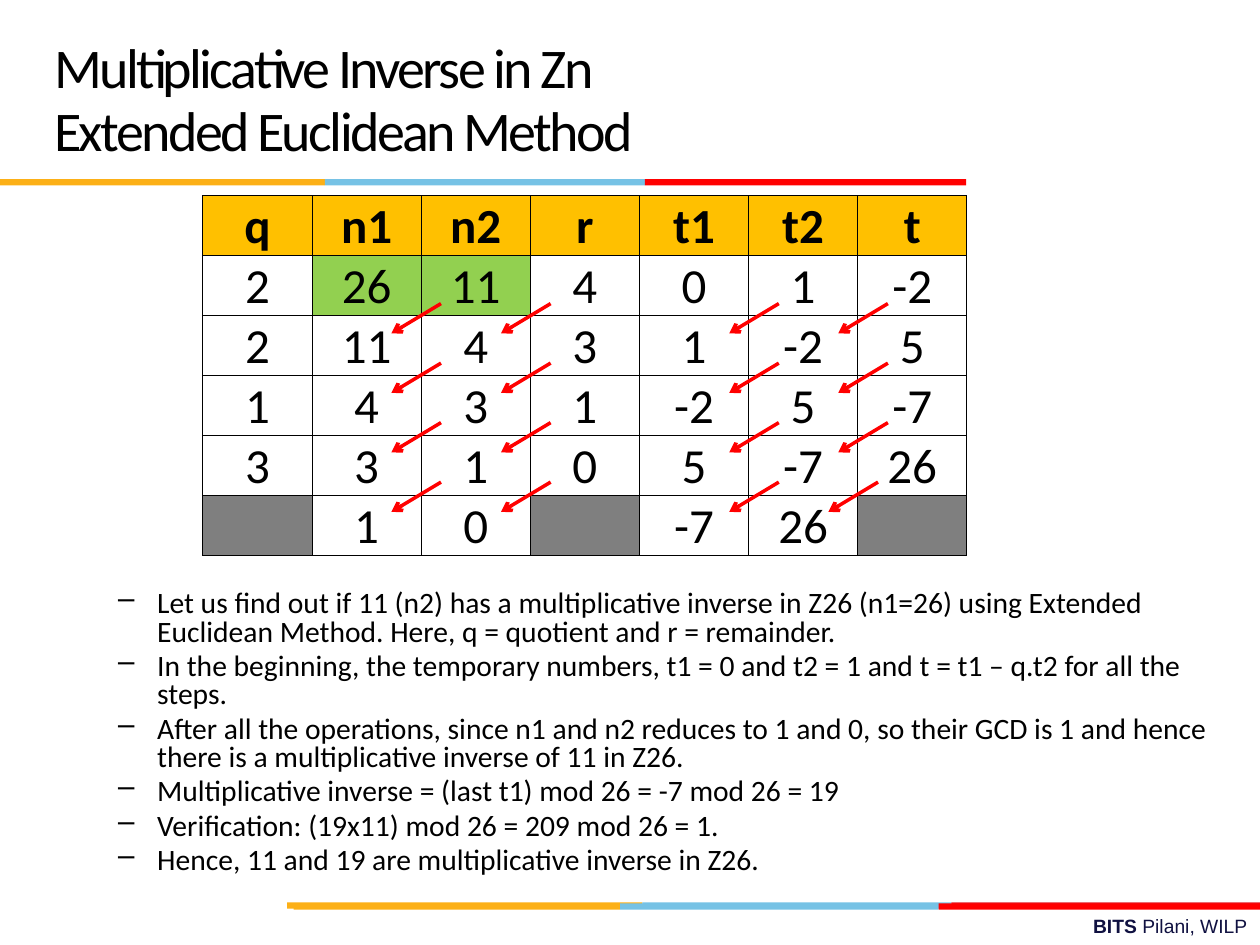
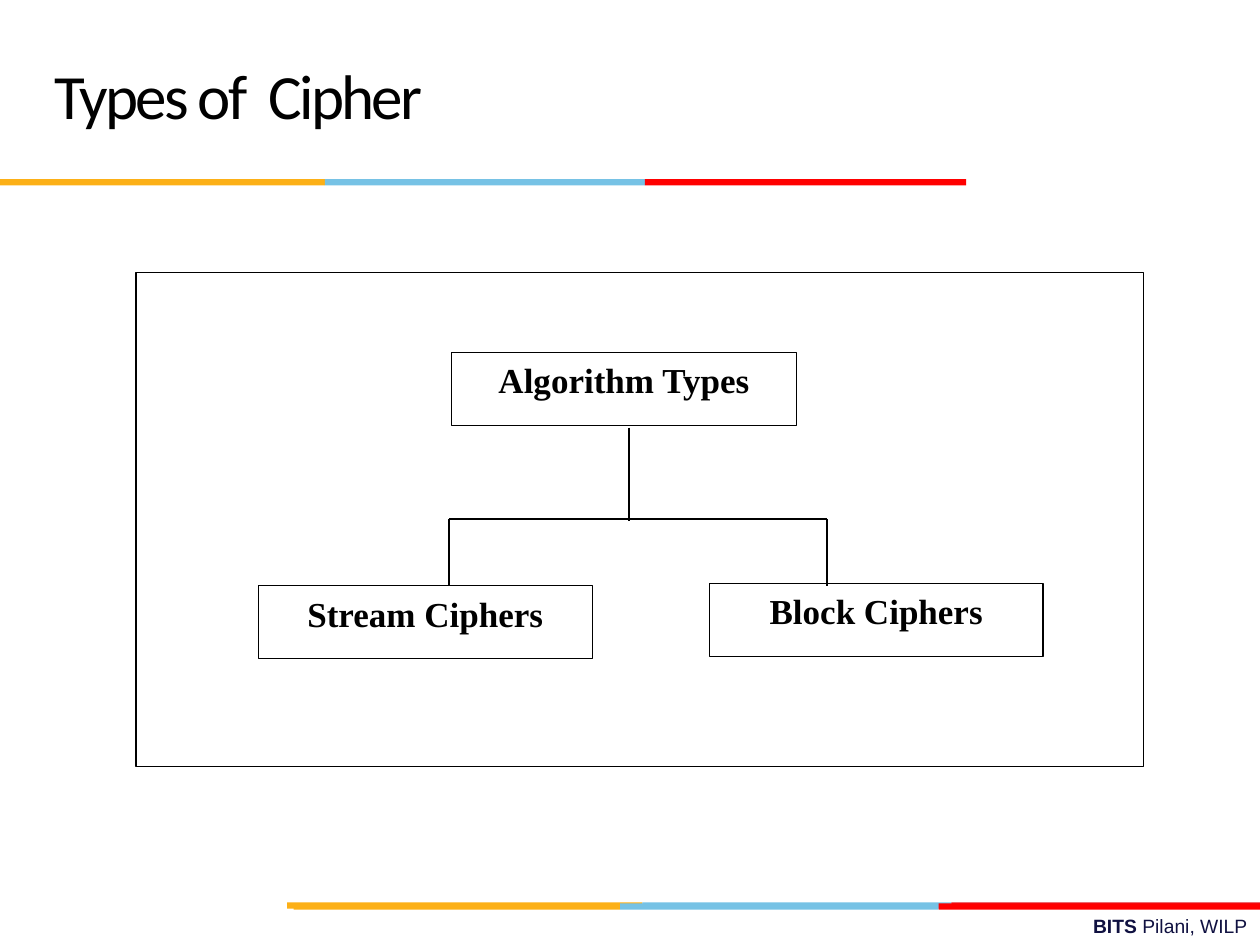
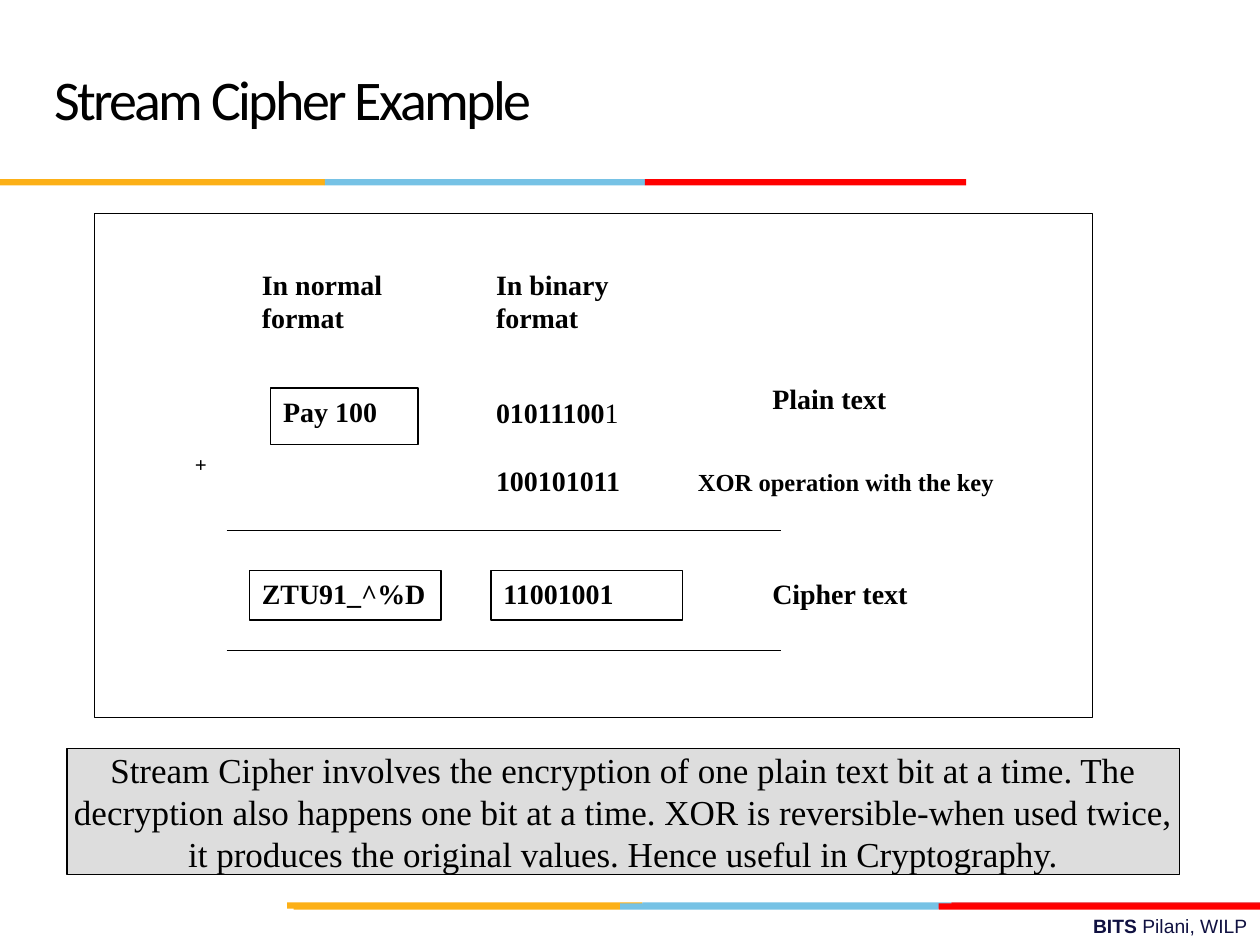
from dataclasses import dataclass
from itertools import pairwise

from lxml.etree import SubElement
from pptx import Presentation
from pptx.dml.color import RGBColor
from pptx.enum.shapes import MSO_CONNECTOR, MSO_SHAPE
from pptx.enum.text import MSO_ANCHOR, PP_ALIGN
from pptx.oxml.ns import qn
from pptx.util import Cm, Pt


@dataclass(frozen=True)
class Theme:
    # Colours
    black: str = "000000"
    white: str = "FFFFFF"
    navy: str = "101141"
    gold: str = "FCB017"
    sky: str = "76C2E5"
    red: str = "FF0000"
    brick: str = "E31C24"
    amber: str = "FFC000"
    green: str = "92D050"
    gray: str = "7F7F7F"
    pale: str = "DDDDDD"
    # Fonts
    sans: str = "Calibri"
    serif: str = "Times New Roman"
    foot: str = "Arial"
    # Type sizes and line widths in points
    title: float = 32
    large: float = 36
    cell: float = 28
    head: float = 20
    list: float = 16.9
    label: float = 16
    note: float = 14
    sign: float = 12
    mark: float = 11
    thin: float = 0.75
    grid: float = 0.5


THEME = Theme()


def paint(fill, color):
    if color:
        fill.solid()
        fill.fore_color.rgb = RGBColor.from_string(color)
    else:
        fill.background()


class Deck:
    def __init__(self, theme):
        self.theme = theme
        self.show = Presentation()
        self.show.slide_width, self.show.slide_height = Cm(25.4), Cm(19.05)

    def start(self, title, size):
        """Add a slide with its bands, footer and title."""
        t = self.theme
        self.slide = self.show.slides.add_slide(self.show.slide_layouts[6])
        self.shapes = self.slide.shapes
        self.text("BITS ", (9.09, 18.31, 16.31, 0.74), t.mark, font=t.foot,
                  color=t.navy, align=PP_ALIGN.RIGHT, tail="Pilani, WILP")
        self.band(18.19, (5.79, 12.95, 19.18, 25.4), t.brick)
        self.band(18.21, (5.92, 12.5, 18.92, 25.4), t.red)
        self.band(3.61, (0, 6.55, 13, 19.48), t.red)
        box = self.text(title, (0.84, 0.43, 17.58, 3.18), size, font=t.sans,
                        bold=False, anchor=MSO_ANCHOR.MIDDLE)
        for para in box.text_frame.paragraphs:
            para.line_spacing = Pt(36)
            for run in para.runs:
                run.font._element.set("spc", "-150")

    def band(self, y, edges, last):
        colors = (self.theme.gold, self.theme.sky, last)
        for (left, right), color in zip(pairwise(edges), colors):
            self.rect((left, y, right - left, 0.13), color, None)

    def rect(self, at, fill, line=THEME.black):
        shape = self.shapes.add_shape(MSO_SHAPE.RECTANGLE, *map(Cm, at))
        shape.shadow.inherit = False
        paint(shape.fill, fill)
        paint(shape.line.fill, line)
        if line:
            shape.line.width = Pt(self.theme.thin)
        return shape

    def text(self, text, at, size, **style):
        box = self.shapes.add_textbox(*map(Cm, at))
        self.put(box.text_frame, text, size, **style)
        return box

    def label(self, text, at, size, fill=None, line=THEME.black, **style):
        """Add a rectangle that holds text."""
        shape = self.rect(at, fill, line)
        self.put(shape.text_frame, text, size, **style)

    def put(self, frame, text, size, font=THEME.serif, color=THEME.black,
            bold=True, align=PP_ALIGN.LEFT, anchor=MSO_ANCHOR.TOP,
            wrap=True, tail=None):
        """Set text and its style; a tail follows in regular weight."""
        frame.text = text
        frame.word_wrap = wrap
        frame.vertical_anchor = anchor
        if tail:
            frame.paragraphs[-1].add_run().text = tail
        for para in frame.paragraphs:
            para.alignment = align
            for run in para.runs:
                self.style(run.font, size, font, color, bold)
        if tail:
            frame.paragraphs[-1].runs[-1].font.bold = False

    def style(self, face, size, font, color, bold):
        face.size, face.name, face.bold = Pt(size), font, bold
        face.color.rgb = RGBColor.from_string(color)

    def list(self, items, at):
        t = self.theme
        box = self.text("\n".join(items), at, t.list, font=t.sans, bold=False)
        for row, para in enumerate(box.text_frame.paragraphs):
            para.line_spacing = 0.8
            if row:
                para.space_before = Pt(3.4)
            props = para._p.get_or_add_pPr()
            props.set("marL", str(Cm(2.06)))
            props.set("indent", str(Cm(-0.79)))
            SubElement(props, qn("a:buChar"), char="–")

    def line(self, start, end, color=THEME.black, width=THEME.thin, arrow=False):
        line = self.shapes.add_connector(
            MSO_CONNECTOR.STRAIGHT, *map(Cm, (*start, *end)))
        paint(line.line.fill, color)
        line.line.width = Pt(width)
        if arrow:
            SubElement(line.line._get_or_add_ln(), qn("a:tailEnd"), type="arrow")
        SubElement(line._element.spPr, qn("a:effectLst"))

    def table(self, rows, at, wide, high, fills):
        """Add a ruled table; fills maps (row, column) to a colour."""
        t = self.theme
        count = len(rows[0])
        table = self.shapes.add_table(
            len(rows), count, *map(Cm, at),
            Cm(wide * count), Cm(high * len(rows))).table
        table.first_row = table.horz_banding = False
        for col in table.columns:
            col.width = Cm(wide)
        for r, row in enumerate(rows):
            table.rows[r].height = Cm(high)
            for c, text in enumerate(row):
                cell = table.cell(r, c)
                cell.margin_left = cell.margin_right = cell.margin_top = Cm(0.02)
                cell.margin_bottom = 0
                cell.vertical_anchor = MSO_ANCHOR.BOTTOM
                self.rule(cell)
                paint(cell.fill, fills.get((r, c)))
                cell.text = text
                para = cell.text_frame.paragraphs[0]
                para.alignment = PP_ALIGN.CENTER
                for run in para.runs:
                    self.style(run.font, t.cell, t.sans, t.black, r == 0)

    def rule(self, cell):
        props = cell._tc.get_or_add_tcPr()
        for side in "LRTB":
            edge = SubElement(props, qn("a:ln" + side),
                              w=str(Pt(self.theme.grid)))
            fill = SubElement(edge, qn("a:solidFill"))
            SubElement(fill, qn("a:srgbClr"), val=self.theme.black)


def inverse(deck):
    t = deck.theme
    deck.start("Multiplicative Inverse in Zn\nExtended Euclidean Method", t.title)

    # Table of steps
    rows = [
        ("q", "n1", "n2", "r", "t1", "t2", "t"),
        ("2", "26", "11", "4", "0", "1", "-2"),
        ("2", "11", "4", "3", "1", "-2", "5"),
        ("1", "4", "3", "1", "-2", "5", "-7"),
        ("3", "3", "1", "0", "5", "-7", "26"),
        ("", "1", "0", "", "-7", "26", ""),
    ]
    fills = {(0, col): t.amber for col in range(7)}
    fills |= {(1, col): t.green for col in (1, 2)}
    fills |= {(5, col): t.gray for col in (0, 3, 6)}
    deck.table(rows, (4.09, 3.94), 2.2, 1.21, fills)

    # Arrows that carry values to the next row
    for step in range(4):
        y = 6.12 + 1.2 * step
        ends = (8.89, 11.1, 15.7, 17.7 if step == 3 else 17.9)
        for x in ends:
            deck.line((x, y), (x - 1, y + 0.6), t.red, 2, arrow=True)

    # Remarks
    deck.list([
        "Let us find out if 11 (n2) has a multiplicative inverse in Z26 (n1=26) "
        "using Extended Euclidean Method. Here, q = quotient and r = remainder.",
        "In the beginning, the temporary numbers, t1 = 0 and t2 = 1 and "
        "t = t1 – q.t2 for all the steps.",
        "After all the operations, since n1 and n2 reduces to 1 and 0, so their "
        "GCD is 1 and hence there is a multiplicative inverse of 11 in Z26.",
        "Multiplicative inverse = (last t1) mod 26 = -7 mod 26 = 19",
        "Verification: (19x11) mod 26 = 209 mod 26 = 1.",
        "Hence, 11 and 19 are multiplicative inverse in Z26.",
    ], (0.86, 11.79, 24, 6.8))


def types(deck):
    t = deck.theme
    deck.start("Types of  Cipher", t.large)
    deck.rect((2.74, 5.5, 20.32, 9.96), t.white)

    # Tree boxes
    for text, x, y, wide in (("Algorithm Types", 9.1, 7.11, 6.96),
                             ("Stream Ciphers", 5.21, 11.81, 6.73),
                             ("Block Ciphers", 14.3, 11.76, 6.73)):
        deck.label(text, (x, y, wide, 1.47), t.head, t.white,
                   align=PP_ALIGN.CENTER)

    # Tree branches
    left, mid, right, fork = 9.05, 12.68, 16.67, 10.46
    deck.line((mid, 8.62), (mid, 10.5))
    deck.line((left, fork), (right, fork))
    for x in (left, right):
        deck.line((x, fork), (x, 11.81))


def stream(deck):
    t = deck.theme
    deck.start("Stream Cipher Example", t.title)
    deck.rect((1.9, 4.3, 20.12, 10.16), t.white)

    # Column heads
    for text, x in (("In normal format", 5.03), ("In binary format", 9.75)):
        deck.label(text, (x, 5.26, 3.43, 1.96), t.label, t.white, None)

    # Boxed values
    for text, at in (("Pay 100", (5.46, 7.82, 2.97, 1.14)),
                     ("ZTU91_^%D", (5.03, 11.5, 3.86, 1)),
                     ("11001001", (9.9, 11.5, 3.86, 1))):
        deck.label(text, at, t.label)

    # Bits, sign and row names
    deck.text("01011100", (9.75, 7.85, 3.12, 0.97), t.label, tail="1")
    for text, at, size in (
            ("100101011", (9.75, 9.22, 3.12, 0.97), t.label),
            ("+", (3.68, 8.97, 1.35, 1.37), t.sign),
            ("Plain text", (15.32, 7.57, 3.15, 1.4), t.label),
            ("Cipher text", (15.32, 11.5, 3.58, 1.4), t.label),
            ("XOR operation with the key", (13.82, 9.3, 7.29, 1.4), t.note)):
        deck.text(text, at, size)

    # Sum lines
    for y in (10.69, 13.11):
        deck.line((4.57, y), (15.75, y))

    # Summary
    deck.label("Stream Cipher involves the encryption of one plain text bit at a time. The\n"
               "decryption also happens one bit at a time. XOR is reversible-when used twice,\n"
               "it produces the original values. Hence useful in Cryptography.",
               (1.35, 15.09, 22.43, 2.54), t.head, t.pale, bold=False,
               align=PP_ALIGN.CENTER, anchor=MSO_ANCHOR.MIDDLE, wrap=False)


def main():
    deck = Deck(THEME)
    for build in (inverse, types, stream):
        build(deck)
    deck.show.save("out.pptx")


if __name__ == "__main__":
    main()
